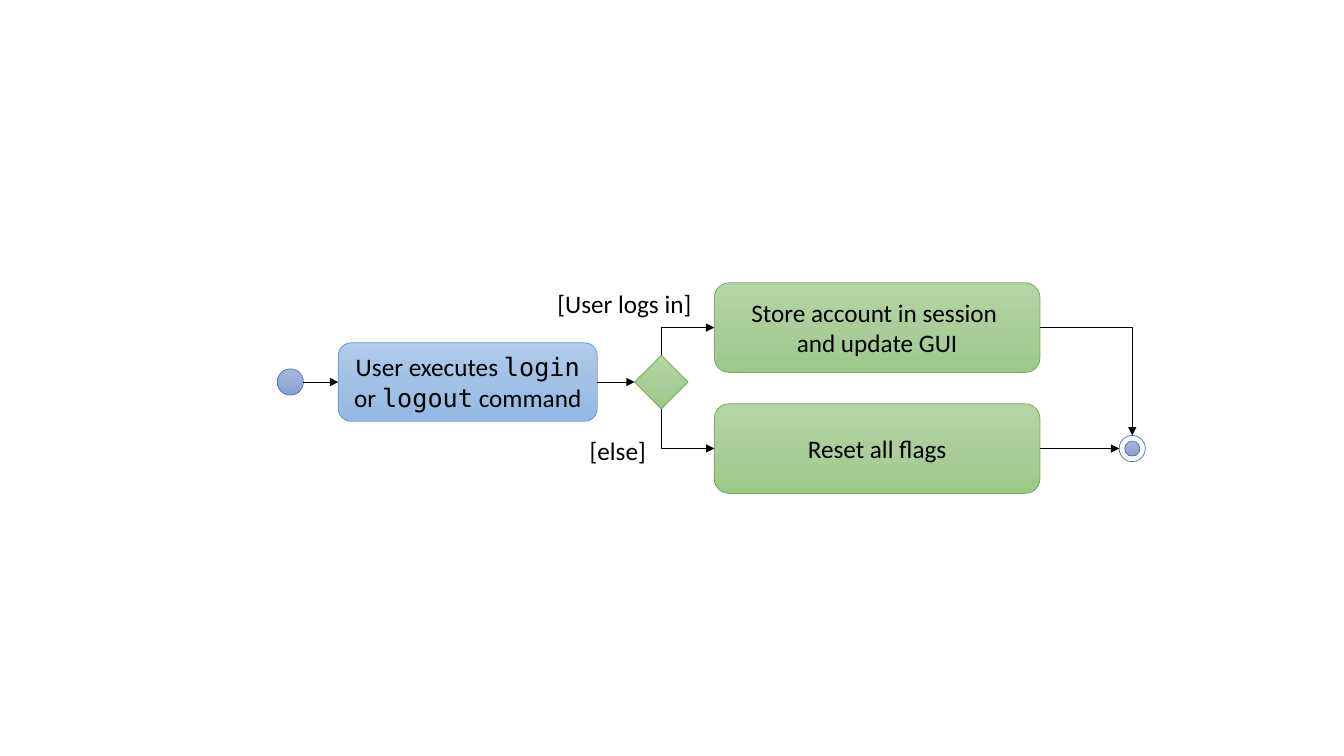
import copy

import pptx
import pptx.dml.color
import pptx.enum.dml
import pptx.enum.shapes
import pptx.enum.text
import pptx.oxml
import pptx.oxml.ns
import pptx.util

Inches = pptx.util.Inches
SHAPE = pptx.enum.shapes.MSO_SHAPE
CONNECTOR = pptx.enum.shapes.MSO_CONNECTOR

THEME = {
    "blue": {"stops": ("B1CBE9", "A3C1E5", "93B9E4"), "line": "5B9BD5"},
    "green": {"stops": ("B5D5A7", "AACE9A", "9CC987"), "line": "70AD47"},
    "indigo": {"stops": ("A8B7DF", "9AABD9", "889ED7"), "line": "4472C4"},
    "white": {"stops": ("FFFFFF",), "line": "4472C4"},
    "ink": "000000",
    "body": "Calibri",
    "code": "DejaVu Sans Mono",
    "size": 18,
    "line_width": 0.5,
}

# Each label is a list of lines; each line is a list of (text, font role).
COMMAND = [[("User executes ", "body"), ("login", "code"), (" or ", "body"),
            ("logout", "code"), (" command", "body")]]
STORE = [[("Store account in session ", "body")], [("and update GUI", "body")]]
RESET = [[("Reset all flags", "body")]]
GUARDS = [
    ([[("[User logs in]", "body")]], (5.43, 2.81, 1.63, 0.4)),
    ([[("[else]", "body")]], (5.75, 4.27, 0.81, 0.4)),
]

FLOW_Y, STORE_Y, RESET_Y = 3.79, 3.25, 4.45
COMMAND_SIZE, ACTION_SIZE = (2.57, 0.78), (3.23, 0.89)
NODE, CORE, DECISION = (0.26, 0.26), (0.15, 0.15), (0.53, 0.53)
START_X, COMMAND_X, DECISION_X, ACTION_X, END_X = 2.88, 4.64, 6.56, 8.7, 11.23


def rgb(value):
    return pptx.dml.color.RGBColor.from_string(value)


def fill_label(sp, lines, align):
    p = sp.text_frame.paragraphs[0]
    p.alignment = align
    for i, line in enumerate(lines):
        if i:
            p.add_line_break()
        for text, role in line:
            r = p.add_run()
            r.text = text
            r.font.name = THEME[role]
            r.font.size = pptx.util.Pt(THEME["size"])
            r.font.color.rgb = rgb(THEME["ink"])


def paint(sp, look):
    stops = look["stops"]
    if len(stops) == 1:
        sp.fill.solid()
        sp.fill.fore_color.rgb = rgb(stops[0])
    else:
        sp.fill.gradient()
        sp.fill.gradient_angle = 270
        first = sp._element.spPr.find(".//" + pptx.oxml.ns.qn("a:gs"))
        first.addnext(copy.deepcopy(first))
        for i, (stop, color) in enumerate(zip(sp.fill.gradient_stops, stops)):
            stop.position = i / (len(stops) - 1)
            stop.color.rgb = rgb(color)
    sp.line.color.rgb = rgb(look["line"])
    sp.line.width = pptx.util.Pt(THEME["line_width"])
    sp.shadow.inherit = False


def add_node(shapes, kind, center, size, look, label=None):
    (x, y), (w, h) = center, size
    sp = shapes.add_shape(kind, Inches(x - w / 2), Inches(y - h / 2), Inches(w), Inches(h))
    paint(sp, THEME[look])
    if label:
        sp.text_frame.word_wrap = True
        sp.text_frame.vertical_anchor = pptx.enum.text.MSO_ANCHOR.MIDDLE
        fill_label(sp, label, pptx.enum.text.PP_ALIGN.CENTER)


def add_arrow(s, kind, start, end):
    arrow = s.shapes.add_connector(kind, *map(Inches, (*start, *end)))
    arrow.line.color.rgb = rgb(THEME["ink"])
    arrow.line.width = pptx.util.Pt(THEME["line_width"])
    ns = pptx.oxml.ns.nsdecls("a")
    ln = arrow._element.spPr.find(pptx.oxml.ns.qn("a:ln"))
    ln.append(pptx.oxml.parse_xml(f'<a:tailEnd {ns} type="triangle"/>'))
    ln.addnext(pptx.oxml.parse_xml(f"<a:effectLst {ns}/>"))
    return arrow


def add_corner(s, start, end, vertical_first=False):
    """Draw a one-bend arrow; a vertical first leg needs a turned, flipped box."""
    (x1, y1), (x2, y2) = start, end
    rotation = 0
    if vertical_first:
        cx, cy = (x1 + x2) / 2, (y1 + y2) / 2
        half_w, half_h = abs(y2 - y1) / 2, (x2 - x1) / 2
        upward = y2 < y1
        rotation = 90 if upward else 270
        x1, x2 = cx + half_w, cx - half_w
        y1, y2 = (cy + half_h, cy - half_h) if upward else (cy - half_h, cy + half_h)
    spPr = add_arrow(s, CONNECTOR.ELBOW, (x1, y1), (x2, y2))._element.spPr
    spPr.find(pptx.oxml.ns.qn("a:prstGeom")).set("prst", "bentConnector2")
    if rotation:
        spPr.find(pptx.oxml.ns.qn("a:xfrm")).set("rot", str(rotation * 60000))


def main():
    prs = pptx.Presentation()
    prs.slide_width, prs.slide_height = Inches(13.33), Inches(7.5)
    s = prs.slides.add_slide(prs.slide_layouts[6])

    add_node(s.shapes, SHAPE.OVAL, (START_X, FLOW_Y), NODE, "indigo")
    add_node(s.shapes, SHAPE.ROUNDED_RECTANGLE, (COMMAND_X, FLOW_Y),
             COMMAND_SIZE, "blue", COMMAND)
    add_node(s.shapes, SHAPE.DIAMOND, (DECISION_X, FLOW_Y), DECISION, "green")
    for y, label in ((STORE_Y, STORE), (RESET_Y, RESET)):
        add_node(s.shapes, SHAPE.ROUNDED_RECTANGLE, (ACTION_X, y),
                 ACTION_SIZE, "green", label)
    end_group = s.shapes.add_group_shape()
    for size, look in ((NODE, "white"), (CORE, "indigo")):
        add_node(end_group.shapes, SHAPE.OVAL, (END_X, RESET_Y), size, look)

    straight_links = [
        (START_X, NODE, COMMAND_X, COMMAND_SIZE, FLOW_Y),
        (COMMAND_X, COMMAND_SIZE, DECISION_X, DECISION, FLOW_Y),
        (ACTION_X, ACTION_SIZE, END_X, NODE, RESET_Y),
    ]
    for x1, size1, x2, size2, y in straight_links:
        add_arrow(s, CONNECTOR.STRAIGHT, (x1 + size1[0] / 2, y), (x2 - size2[0] / 2, y))

    half_action = ACTION_SIZE[0] / 2
    reach = DECISION[1] / 2
    for side, y in ((-1, STORE_Y), (1, RESET_Y)):
        add_corner(s, (DECISION_X, FLOW_Y + side * reach), (ACTION_X - half_action, y), True)
    add_corner(s, (ACTION_X + half_action, STORE_Y), (END_X, RESET_Y - NODE[1] / 2))

    for label, box in GUARDS:
        guard = s.shapes.add_textbox(*map(Inches, box))
        guard.text_frame.word_wrap = True
        guard.text_frame.auto_size = pptx.enum.text.MSO_AUTO_SIZE.SHAPE_TO_FIT_TEXT
        fill_label(guard, label, pptx.enum.text.PP_ALIGN.LEFT)

    prs.save("out.pptx")


if __name__ == "__main__":
    main()
